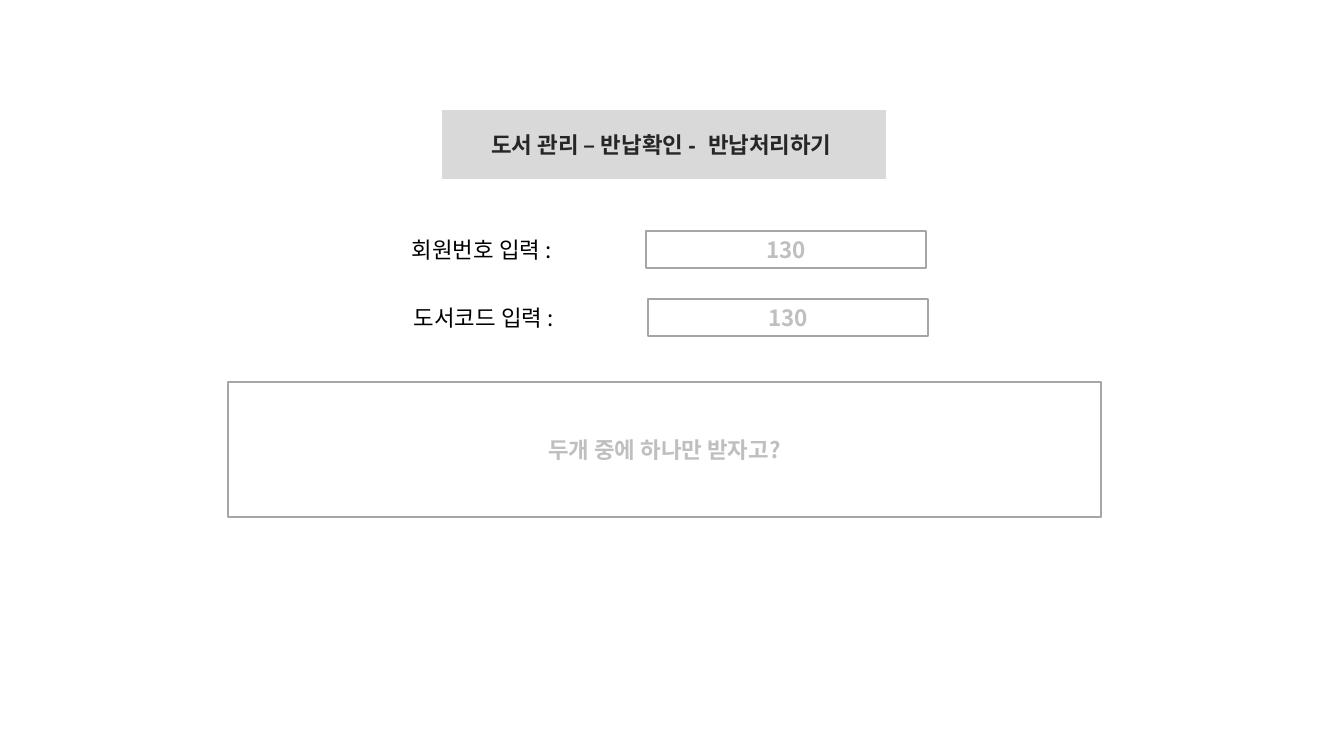
from dataclasses import dataclass

from lxml import etree
from pptx import Presentation
from pptx import util as u
from pptx.dml.color import RGBColor
from pptx.enum import shapes, text
from pptx.oxml import ns

EMU_PER_PIXEL = 914400 / 100.8
HANGUL_FONT = "Noto Sans CJK KR"
TITLE_FONT = "Arial"
WHITE = RGBColor(0xFF, 0xFF, 0xFF)
BLACK = RGBColor(0x00, 0x00, 0x00)
INK = RGBColor(0x26, 0x26, 0x26)
BAND = RGBColor(0xD9, 0xD9, 0xD9)
BORDER = RGBColor(0xA6, 0xA6, 0xA6)
HINT = RGBColor(0xBF, 0xBF, 0xBF)


@dataclass(frozen=True)
class Box:
    left: int
    top: int
    width: int
    height: int

    def emu(self) -> list[u.Emu]:
        pixels = (self.left, self.top, self.width, self.height)
        return [px(value) for value in pixels]


@dataclass(frozen=True)
class InputRow:
    label: str
    value: str
    left: int
    top: int


def px(value: int) -> u.Emu:
    return u.Emu(round(value * EMU_PER_PIXEL))


def write(frame, words: str, color: RGBColor, bold: bool = True,
          align=text.PP_ALIGN.CENTER, font: str = HANGUL_FONT) -> None:
    paragraph = frame.paragraphs[0]
    paragraph.alignment = align
    run = paragraph.add_run()
    run.text = words
    run.font.size = u.Pt(16)
    run.font.name = font
    run.font.bold = bold
    run.font.color.rgb = color
    east_asian = etree.SubElement(run.font._element, ns.qn("a:ea"))
    east_asian.set("typeface", HANGUL_FONT)


def draw_field(parent, box: Box, words: str) -> None:
    field = parent.add_shape(shapes.MSO_SHAPE.RECTANGLE, *box.emu())
    field.shadow.inherit = False
    field.fill.solid()
    field.fill.fore_color.rgb = WHITE
    field.line.color.rgb = BORDER
    field.line.width = u.Pt(1)
    field.text_frame.vertical_anchor = text.MSO_ANCHOR.MIDDLE
    write(field.text_frame, words, HINT)


def draw_row(parent, row: InputRow) -> None:
    group = parent.add_group_shape().shapes
    label = group.add_textbox(*Box(row.left, row.top, 184, 37).emu())
    label.text_frame.word_wrap = False
    label.text_frame.auto_size = text.MSO_AUTO_SIZE.SHAPE_TO_FIT_TEXT
    write(label.text_frame, row.label, BLACK, False, text.PP_ALIGN.LEFT)
    draw_field(group, Box(row.left + 244, row.top, 280, 37), row.value)


def draw_title(title, box: Box, words: str) -> None:
    title.left, title.top, title.width, title.height = box.emu()
    title.fill.solid()
    title.fill.fore_color.rgb = BAND
    title.text_frame.auto_size = text.MSO_AUTO_SIZE.NONE
    title.text_frame.vertical_anchor = text.MSO_ANCHOR.MIDDLE
    write(title.text_frame, words, INK, font=TITLE_FONT)


INPUT_ROWS = [
    InputRow("회원번호 입력 : ", "130", 402, 231),
    InputRow("도서코드 입력 : ", "130", 404, 299),
]

deck = Presentation()
deck.slide_width, deck.slide_height = px(1344), px(756)
slide = deck.slides.add_slide(deck.slide_layouts[5])

draw_title(slide.shapes.title, Box(442, 110, 444, 69),
           "도서 관리 – 반납확인 -  반납처리하기 ")
for input_row in INPUT_ROWS:
    draw_row(slide.shapes, input_row)
draw_field(slide.shapes, Box(228, 382, 873, 135), "두개 중에 하나만 받자고?")

deck.save("out.pptx")
